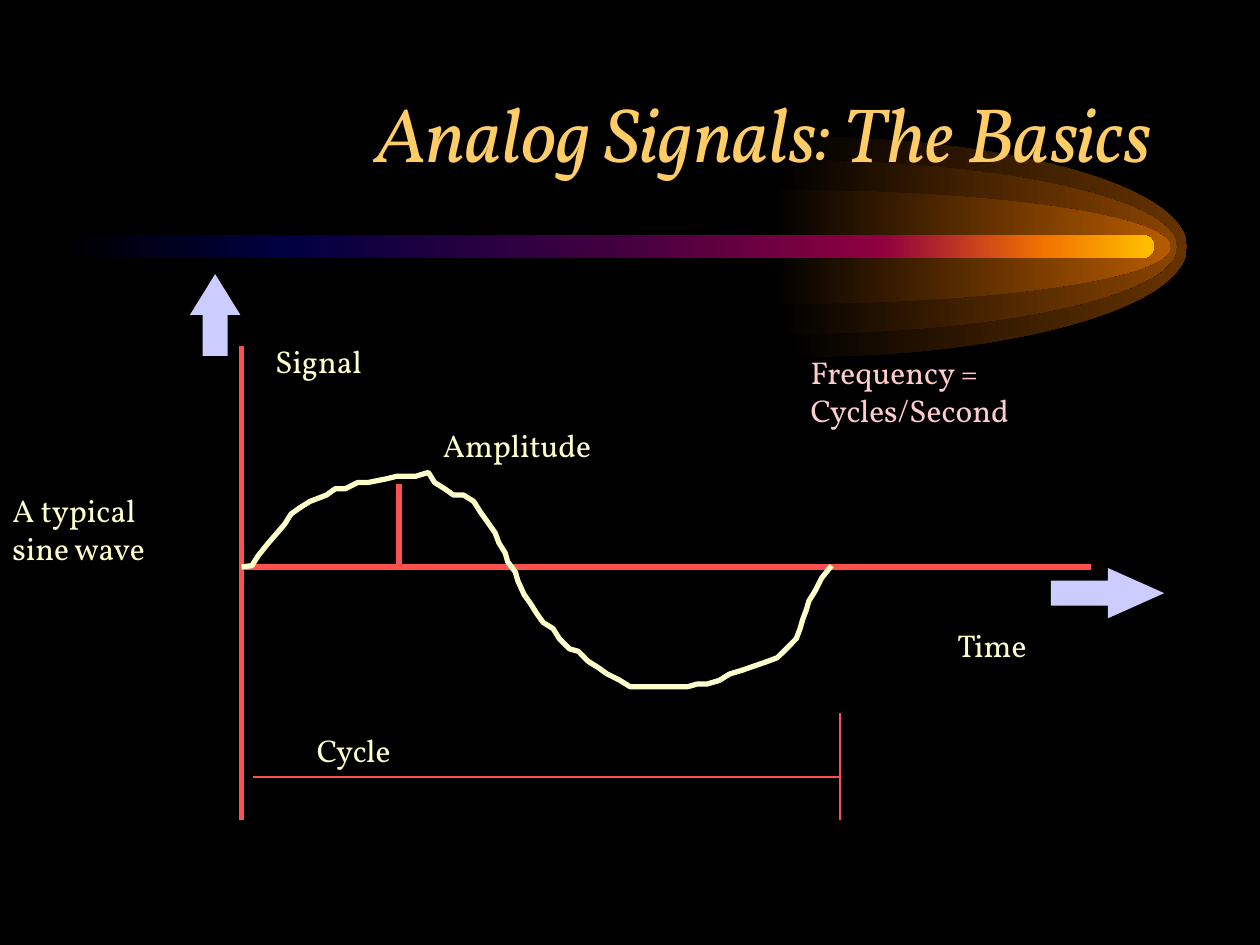
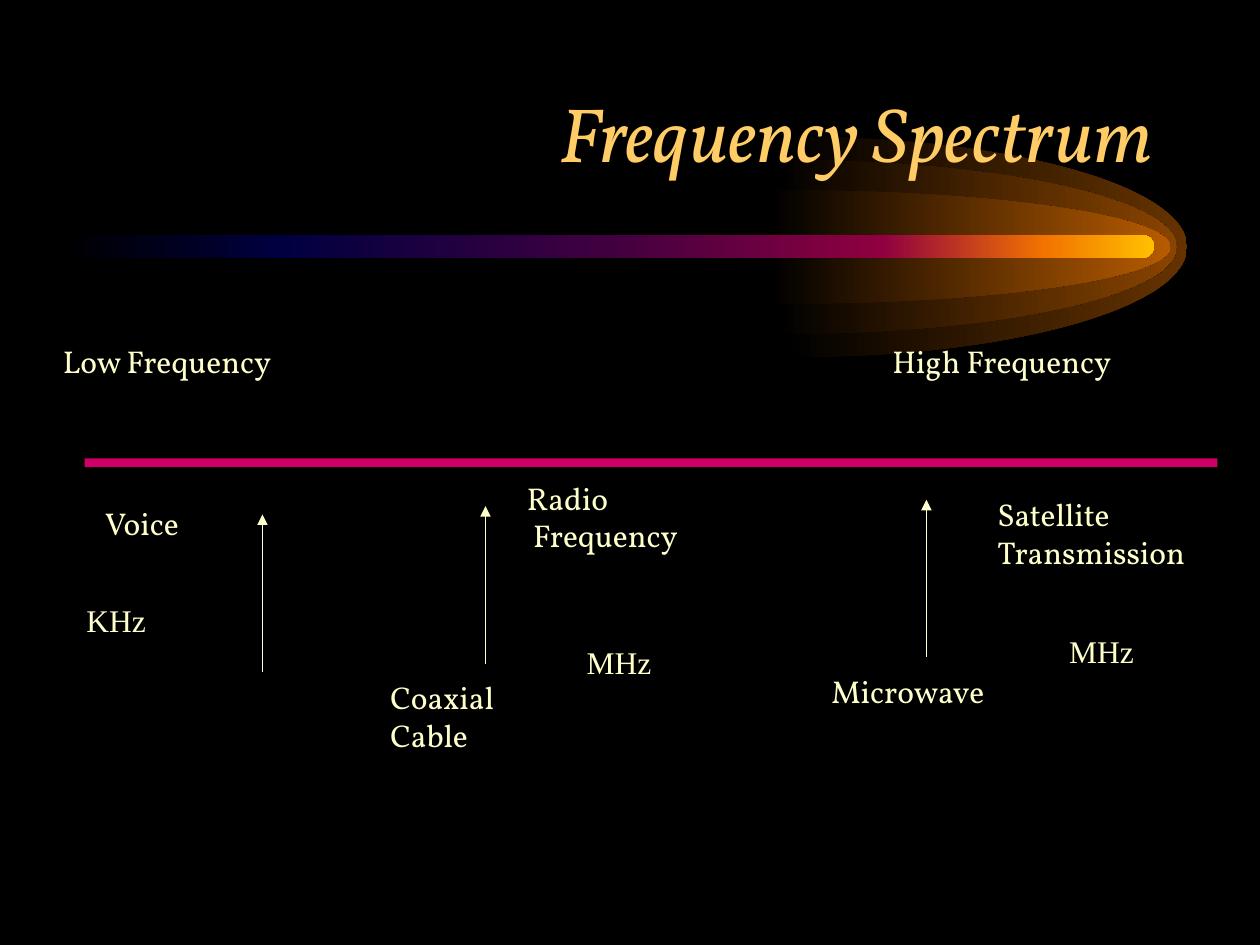
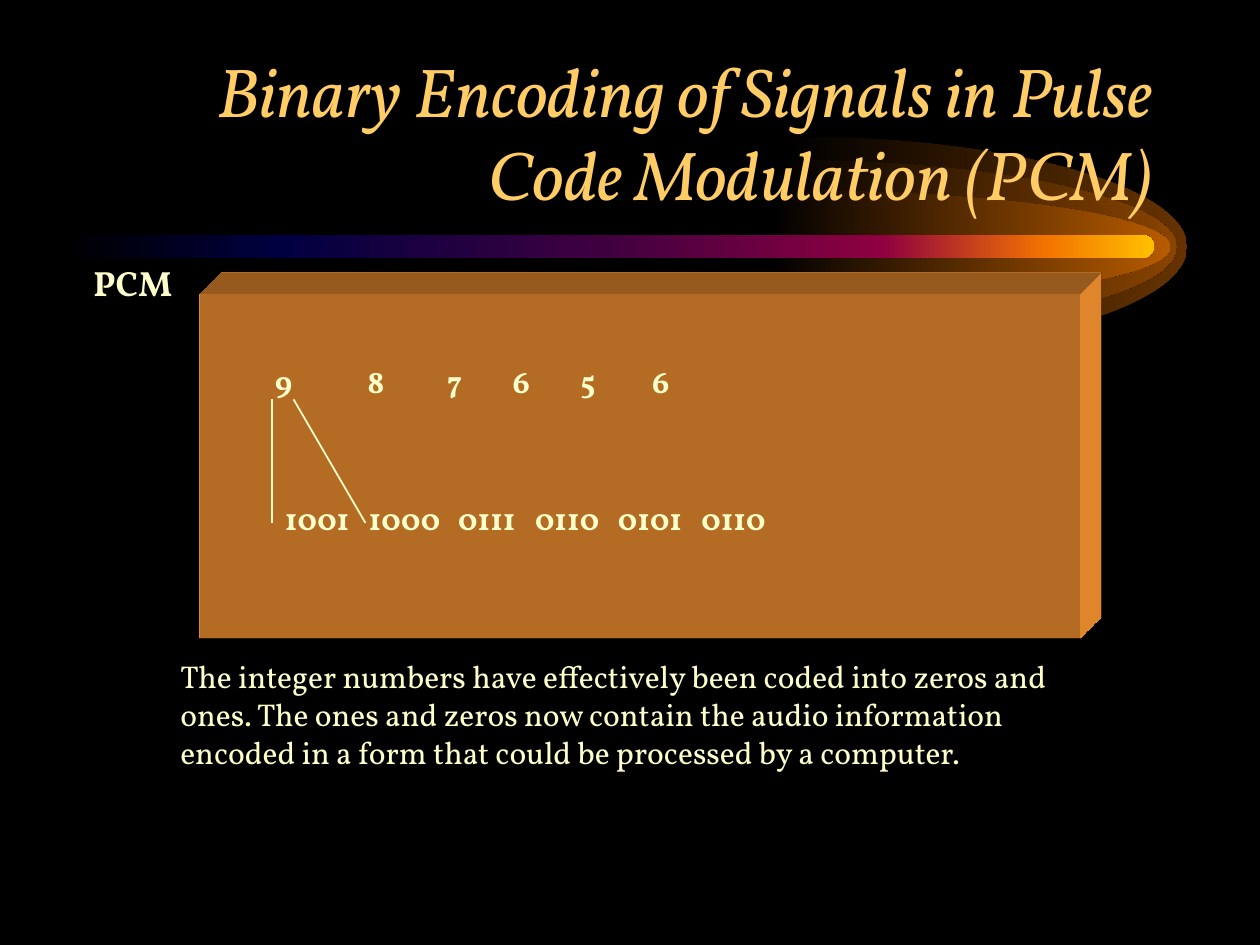
"""Build three slides on analog signals, the frequency spectrum and PCM."""
from dataclasses import dataclass

from lxml.etree import Element, SubElement
from pptx import Presentation
from pptx.dml.color import RGBColor
from pptx.enum.shapes import MSO_CONNECTOR as Link, MSO_SHAPE as Preset
from pptx.enum.text import MSO_ANCHOR as Anchor, PP_ALIGN as Align
from pptx.oxml.ns import qn
from pptx.shapes.autoshape import Shape
from pptx.slide import Slide
from pptx.util import Inches, Pt

WIDTH, HEIGHT = Inches(10), Inches(7.5)
COLUMNS, ROWS = 100, 75
Point = tuple[float, float]


@dataclass(frozen=True)
class Theme:
    """Hold the colours, fonts and type sizes of the deck."""
    ground: str = "000000"
    title: str = "FFCC66"
    text: str = "FFFFCC"
    note: str = "FFCCCC"
    axis: str = "FF5050"
    arrow: str = "CCCCFF"
    spectrum: str = "CC0066"
    panel: str = "FF9933"
    comet: tuple = ((0, "000000"), (20, "000040"), (50, "400040"),
                    (75, "8F0040"), (90, "F27300"), (100, "FFBF00"))
    font: str = "Vollkorn"
    unit_font: str = "Times New Roman"
    title_size: float = 44
    long_title_size: float = 39.6
    body_size: float = 18
    tag_size: float = 20


THEME = Theme()


@dataclass(frozen=True)
class Label:
    """Describe a text box by grid place, lines and type."""
    column: float
    row: float
    columns: float
    rows: float
    lines: tuple[str, ...]
    color: str = THEME.text
    font: str = THEME.font
    size: float = THEME.body_size
    bold: bool = False
    italic: bool = False
    align: Align = Align.LEFT
    anchor: Anchor = Anchor.TOP
    tabs: tuple[float, ...] = ()


@dataclass(frozen=True)
class Rule:
    """Describe a straight line between two grid points."""
    start: Point
    end: Point
    color: str = THEME.text
    weight: float = 1
    arrow: bool = False


@dataclass(frozen=True)
class Block:
    """Describe a filled preset shape on the grid."""
    preset: Preset
    column: float
    row: float
    columns: float
    rows: float
    color: str
    adjust: tuple[float, ...] = ()


@dataclass(frozen=True)
class Glow:
    """Describe a half ellipse of light behind the comet head."""
    column: float
    radius: float
    color: str


AXIS_ROW, COMET_ROW, GLOW_REACH, GLOW_TAIL, ROUNDNESS = 45, 19.6, 31.3, 0.5, 0.55

GLOWS = (Glow(62.9, 8.75, "663300"), Glow(62.1, 6.92, "894400"), Glow(61.6, 4.53, "B75B00"))

WAVE: tuple[Point, ...] = (
    (19.17, 45), (20, 44.9), (20.5, 44.1), (21.3, 43.1), (22, 42.3), (22.6, 41.6),
    (23.1, 40.8), (23.8, 40.3), (24.6, 39.8), (25.9, 39.3), (26.6, 38.8), (27.4, 38.8),
    (28.4, 38.3), (29.2, 38.3), (30.7, 38), (31.5, 37.8), (32.2, 37.8), (33, 37.8),
    (34, 37.5), (34.5, 38.3), (35.3, 38.8), (36, 39.3), (36.8, 39.3), (37.6, 39.8),
    (38.1, 40.6), (38.6, 41.3), (39.3, 42.3), (39.6, 43.1), (40.1, 43.9), (40.3, 44.6),
    (40.9, 45.4), (41.1, 46.1), (41.6, 47.2), (42.1, 47.9), (42.6, 48.7), (43.1, 49.4),
    (43.9, 49.9), (44.4, 50.7), (45.2, 51.5), (45.9, 51.7), (46.7, 52.5), (47.5, 53),
    (48.2, 53.5), (49.2, 54), (50, 54.5), (51, 54.5), (52, 54.5), (52.8, 54.5),
    (53.6, 54.5), (54.6, 54.5), (55.3, 54.3), (56.1, 54.3), (57.1, 54), (57.9, 53.5),
    (58.9, 53.2), (60.9, 52.5), (61.7, 52.2), (62.4, 51.5), (63.2, 50.7), (63.5, 49.9),
    (63.7, 49.2), (64, 48.4), (64.2, 47.7), (64.7, 46.9), (65.2, 45.9), (66, 44.9))


def across(columns: float) -> int:
    """Turn grid columns into a length."""
    return round(WIDTH * columns / COLUMNS)


def down(rows: float) -> int:
    """Turn grid rows into a length."""
    return round(HEIGHT * rows / ROWS)


def rgb(color: str) -> RGBColor:
    """Turn a hex string into a colour."""
    return RGBColor.from_string(color)


def paint(shape: Shape, color: str) -> None:
    """Give a shape a flat fill without outline or shadow."""
    shape.shadow.inherit = False
    shape.fill.solid()
    shape.fill.fore_color.rgb = rgb(color)
    shape.line.fill.background()


def blend(shape: Shape, stops: tuple[tuple[int, str], ...]) -> None:
    """Give a shape a left-to-right gradient."""
    shape.shadow.inherit = False
    shape.line.fill.background()
    shape.fill.gradient()
    shape.fill.gradient_angle = 0
    stop_list = shape.element.spPr.find(qn("a:gradFill")).find(qn("a:gsLst"))
    for stop in list(stop_list):
        stop_list.remove(stop)
    for position, color in stops:
        stop = SubElement(stop_list, qn("a:gs"), pos=str(position * 1000))
        SubElement(stop, qn("a:srgbClr"), val=color)


def extrude(shape: Shape, color: str) -> None:
    """Raise a shape into a solid seen from the top right."""
    properties = shape.element.spPr
    scene = SubElement(properties, qn("a:scene3d"))
    SubElement(scene, qn("a:camera"), prst="legacyObliqueTopRight")
    SubElement(scene, qn("a:lightRig"), rig="legacyFlat3", dir="b")
    solid = SubElement(properties, qn("a:sp3d"), extrusionH="430200",
                       prstMaterial="legacyMatte")
    for bevel in ("a:bevelT", "a:bevelB"):
        SubElement(solid, qn(bevel), w="13500", h="13500", prst="angle")
    SubElement(SubElement(solid, qn("a:extrusionClr")), qn("a:srgbClr"), val=color)


def draw_outline(page: Slide, points: tuple[Point, ...], close: bool) -> Shape:
    """Draw a freeform through grid points."""
    first, *rest = [(across(column), down(row)) for column, row in points]
    builder = page.shapes.build_freeform(*first)
    builder.add_line_segments(rest, close=close)
    return builder.convert_to_shape()


def bend(shape: Shape, curves: tuple[tuple[Point, Point], ...]) -> None:
    """Turn the first straight segments into curves with these control points."""
    segments = list(shape.element.spPr.iter(qn("a:lnTo")))
    for segment, controls in zip(segments, curves):
        segment.tag = qn("a:cubicBezTo")
        for index, (column, row) in enumerate(controls):
            segment.insert(index, Element(qn("a:pt"), x=str(across(column) - shape.left),
                                          y=str(down(row) - shape.top)))


def draw_block(page: Slide, block: Block) -> Shape:
    """Draw a filled preset shape."""
    shape = page.shapes.add_shape(block.preset, across(block.column), down(block.row),
                                  across(block.columns), down(block.rows))
    for index, value in enumerate(block.adjust):
        shape.adjustments[index] = value
    paint(shape, block.color)
    return shape


def draw_rule(page: Slide, rule: Rule) -> None:
    """Draw a straight line, with an arrowhead if asked."""
    line = page.shapes.add_connector(
        Link.STRAIGHT, across(rule.start[0]), down(rule.start[1]),
        across(rule.end[0]), down(rule.end[1]))
    line.line.color.rgb = rgb(rule.color)
    line.line.width = Pt(rule.weight)
    if rule.arrow:
        SubElement(line.element.spPr.find(qn("a:ln")), qn("a:tailEnd"), type="triangle")
    SubElement(line.element.spPr, qn("a:effectLst"))


def draw_label(page: Slide, label: Label) -> None:
    """Write a text box, one paragraph a line."""
    box = page.shapes.add_textbox(across(label.column), down(label.row),
                                  across(label.columns), down(label.rows))
    frame = box.text_frame
    frame.word_wrap = True
    frame.vertical_anchor = label.anchor
    for index, text in enumerate(label.lines):
        para = frame.add_paragraph() if index else frame.paragraphs[0]
        para.alignment = label.align
        if label.tabs:
            tab_list = SubElement(para._p.get_or_add_pPr(), qn("a:tabLst"))
            for tab in label.tabs:
                SubElement(tab_list, qn("a:tab"), pos=str(across(tab)), algn="l")
        span = para.add_run()
        span.text = text
        span.font.name = label.font
        span.font.size = Pt(label.size)
        span.font.bold = label.bold
        span.font.italic = label.italic
        span.font.color.rgb = rgb(label.color)


def draw_glow(page: Slide, glow: Glow) -> None:
    """Draw one half ellipse fading in from the left."""
    left, right = glow.column, glow.column + GLOW_REACH
    top, bottom = COMET_ROW - glow.radius, COMET_ROW + glow.radius
    reach, rise = GLOW_REACH * ROUNDNESS, glow.radius * ROUNDNESS
    shape = draw_outline(page, ((left, top), (right, COMET_ROW), (left, bottom),
                                (left - GLOW_TAIL, bottom), (left, COMET_ROW)), True)
    bend(shape, (((left + reach, top), (right, COMET_ROW - rise)),
                 ((right, COMET_ROW + rise), (left + reach, bottom))))
    blend(shape, ((0, THEME.ground), (100, glow.color)))


def add_page(deck: Presentation, title: str, size: float = THEME.title_size) -> Slide:
    """Add a slide with the comet band and its title."""
    page = deck.slides.add_slide(deck.slide_layouts[6])
    for glow in GLOWS:
        draw_glow(page, glow)
    comet = Block(Preset.ROUNDED_RECTANGLE, 5, 18.65, 86.6, 1.82, THEME.ground, (0.5,))
    blend(draw_block(page, comet), THEME.comet)
    draw_label(page, Label(7.5, 4.17, 85, 12.5, (title,), THEME.title, size=size,
                           italic=True, align=Align.RIGHT, anchor=Anchor.MIDDLE))
    return page


def draw_all(page: Slide, rules: tuple[Rule, ...], labels: tuple[Label, ...]) -> None:
    """Draw the lines of a slide, then its labels."""
    for rule in rules:
        draw_rule(page, rule)
    for label in labels:
        draw_label(page, label)


def add_analog_page(deck: Presentation) -> None:
    """Show a sine wave with its axes, amplitude and cycle."""
    page = add_page(deck, "Analog Signals: The Basics")
    draw_all(page, (
        Rule((19.17, AXIS_ROW), (86.6, AXIS_ROW), THEME.axis, 3),
        Rule((19.17, 65.1), (19.17, 27.43), THEME.axis, 3),
        Rule((31.67, 38.4), (31.67, 44.9), THEME.axis, 3),
        Rule((20.1, 61.67), (66.6, 61.67), THEME.axis),
        Rule((66.67, 65.1), (66.67, 56.6), THEME.axis),
    ), (
        Label(24.17, 57.5, 28.3, 5, ("Cycle",)),
        Label(75, 49.17, 13.3, 5, ("Time",)),
        Label(20.85, 26.67, 20, 5, ("Signal",)),
        Label(34.17, 33.33, 25, 5, ("Amplitude",)),
        Label(63.35, 27.52, 28.3, 9, ("Frequency = Cycles/Second",), THEME.note),
        Label(0, 37.5, 16.7, 9, ("A typical", "sine wave"), anchor=Anchor.MIDDLE),
    ))
    wave = draw_outline(page, WAVE, False)
    wave.shadow.inherit = False
    wave.fill.background()
    wave.line.color.rgb = rgb(THEME.text)
    wave.line.width = Pt(3)
    draw_block(page, Block(Preset.UP_ARROW, 15.08, 21.75, 4, 6.5, THEME.arrow, (0.5, 0.81)))
    draw_block(page, Block(Preset.RIGHT_ARROW, 83.4, 45.08, 9, 4, THEME.arrow, (0.5, 1.12)))


def unit(column: float, row: float, name: str) -> Label:
    """Describe a frequency unit."""
    return Label(column, row, 9, 5, (name,), font=THEME.unit_font, anchor=Anchor.MIDDLE)


def add_spectrum_page(deck: Presentation) -> None:
    """Show media along the frequency spectrum."""
    page = add_page(deck, "Frequency Spectrum")
    draw_block(page, Block(Preset.RECTANGLE, 6.72, 36.38, 89.9, 0.7, THEME.spectrum))
    pointers = ((20.83, 53.33, 1), (38.53, 52.67, 0.75), (73.53, 52.17, 0.75))
    rules = tuple(Rule((column, row), (column, row - 12.5), weight=weight, arrow=True)
                  for column, row, weight in pointers)
    draw_all(page, rules, (
        Label(4, 26.67, 25, 5, ("Low Frequency",)),
        Label(69.83, 26.67, 25.9, 5, ("High Frequency",)),
        Label(40.83, 37.5, 18.4, 9, ("Radio", " Frequency")),
        Label(30, 53.33, 13.2, 9, ("Coaxial", "Cable")),
        Label(78.17, 38.8, 21.8, 9, ("Satellite", "Transmission")),
        Label(65, 52.83, 18.6, 5, ("Microwave",)),
        Label(7.35, 39.5, 10.3, 5, ("Voice",)),
        unit(45.57, 50, "MHz"),
        unit(83.87, 49.17, "MHz"),
        unit(5.87, 46.67, "KHz"),
    ))


def add_encoding_page(deck: Presentation) -> None:
    """Show integers coded as binary on a raised panel."""
    page = add_page(deck, "Binary Encoding of Signals in Pulse Code Modulation (PCM)",
                    THEME.long_title_size)
    panel = Block(Preset.RECTANGLE, 15.83, 23.33, 69.9, 27.35, THEME.panel)
    extrude(draw_block(page, panel), THEME.panel)
    draw_all(page, (
        Rule((21.6, 31.7), (21.6, 41.5)),
        Rule((23.3, 31.7), (29, 41.5)),
    ), (
        Label(20.83, 28.27, 58.3, 5, ("9\t8\t7\t6\t5\t6",), bold=True,
              tabs=(7.35, 13.67, 18.88, 24.25, 29.95)),
        Label(21.63, 39.1, 60.8, 5, ("1001\t1000\t0111\t0110\t0101\t0110",), bold=True,
              tabs=(6.65, 13.75, 19.85, 26.43, 33.05)),
        Label(13.33, 51.67, 70.8, 16.9, (
            "The integer numbers have effectively been coded into zeros and ones. "
            "The ones and zeros now contain the audio information encoded in a form "
            "that could be processed by a computer.",)),
        Label(6.43, 20.3, 10, 4.3, ("PCM",), size=THEME.tag_size, bold=True),
    ))


def main() -> None:
    """Build and save the deck."""
    deck = Presentation()
    deck.slide_width, deck.slide_height = WIDTH, HEIGHT
    ground = deck.slide_master.background.fill
    ground.solid()
    ground.fore_color.rgb = rgb(THEME.ground)
    add_analog_page(deck)
    add_spectrum_page(deck)
    add_encoding_page(deck)
    deck.save("out.pptx")


if __name__ == "__main__":
    main()
